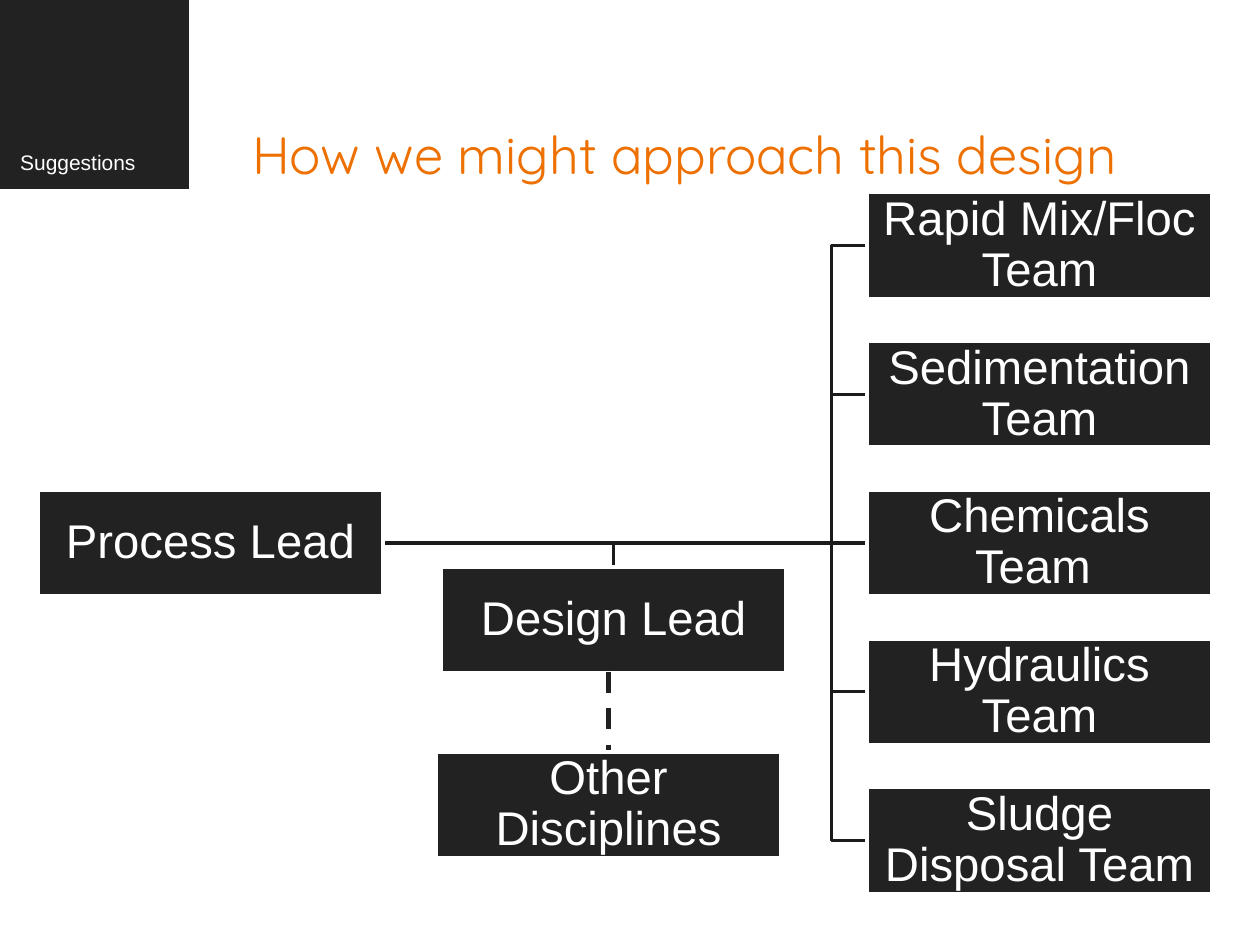
from lxml.etree import SubElement
from pptx import Presentation
from pptx.dml.color import RGBColor
from pptx.enum.dml import MSO_LINE
from pptx.enum.shapes import MSO_CONNECTOR, MSO_SHAPE
from pptx.enum.text import MSO_ANCHOR, MSO_AUTO_SIZE, PP_ALIGN
from pptx.oxml.ns import qn
from pptx.util import Pt

PX = 9144
COLORS = {
    "dark": "222222",
    "line": "1B1B1B",
    "dash": "212121",
    "white": "FFFFFF",
    "orange": "ED7000",
}
BOX_WIDTH, BOX_HEIGHT = 274, 84
TEAM_PITCH = 118
TRUNK_OFFSET = 28
TEAMS = [
    "Rapid Mix/Floc Team",
    "Sedimentation Team",
    "Chemicals Team ",
    "Hydraulics Team",
    "Sludge Disposal Team",
]


def rgb(name):
    """Return the named palette colour."""
    return RGBColor.from_string(COLORS[name])


def remove_bullet(paragraph):
    """Clear the inherited bullet and hanging indent of a paragraph."""
    properties = paragraph._p.get_or_add_pPr()
    properties.set("marL", "0")
    properties.set("indent", "0")
    SubElement(properties, qn("a:buNone"))


def write_text(shape, text, size, color="white", font="Arial", align=PP_ALIGN.LEFT,
               anchor=MSO_ANCHOR.MIDDLE, inset=0, spacing=1.0):
    """Write one formatted paragraph without a bullet into a shape."""
    frame = shape.text_frame
    frame.text = text
    frame.word_wrap = True
    frame.auto_size = MSO_AUTO_SIZE.NONE
    frame.vertical_anchor = anchor
    frame.margin_left = frame.margin_right = inset * PX
    frame.margin_top = frame.margin_bottom = inset * PX
    paragraph = frame.paragraphs[0]
    remove_bullet(paragraph)
    paragraph.alignment = align
    paragraph.line_spacing = spacing
    paragraph.space_before = Pt(0)
    run_font = paragraph.runs[0].font
    run_font.name = font
    run_font.size = Pt(size)
    run_font.color.rgb = rgb(color)


def place(shape, left, top, width, height):
    """Move and size a shape in px."""
    shape.left, shape.top = left * PX, top * PX
    shape.width, shape.height = width * PX, height * PX


def add_rectangle(slide, left, top, width, height):
    """Add a dark rectangle without outline."""
    shape = slide.shapes.add_shape(
        MSO_SHAPE.RECTANGLE, left * PX, top * PX, width * PX, height * PX)
    shape.shadow.inherit = False
    shape.fill.solid()
    shape.fill.fore_color.rgb = rgb("dark")
    shape.line.fill.background()
    return shape


def add_role(slide, text, left, top):
    """Add one labelled box of the organisation chart."""
    shape = add_rectangle(slide, left, top, BOX_WIDTH, BOX_HEIGHT)
    style_line(shape, "white", 2)
    write_text(shape, text, 27, align=PP_ALIGN.CENTER, inset=2, spacing=0.9)
    return shape


def style_line(shape, color, width):
    """Set the colour and width of a line."""
    shape.line.color.rgb = rgb(color)
    shape.line.width = Pt(width)


def send_behind(shape, front):
    """Move a shape directly behind another one."""
    front.element.addprevious(shape.element)


def add_elbow(slide, points):
    """Add an open bent line through the given points."""
    builder = slide.shapes.build_freeform(*points[0], scale=PX)
    builder.add_line_segments(points[1:], close=False)
    shape = builder.convert_to_shape()
    shape.shadow.inherit = False
    shape.fill.background()
    style_line(shape, "line", 2)


def add_link(slide, start, end, color, width, front):
    """Add a straight connector behind the given shape."""
    connector = slide.shapes.add_connector(
        MSO_CONNECTOR.STRAIGHT, *(value * PX for value in start + end))
    SubElement(connector.element.spPr, qn("a:effectLst"))
    style_line(connector, color, width)
    send_behind(connector, front)
    return connector


def build_header(slide, left, top):
    """Fill the corner square label and the title."""
    title, label = slide.shapes.title, slide.placeholders[1]
    send_behind(add_rectangle(slide, left, top, 150, 150), title)
    place(label, left + 16, top + 10, 121, 129)
    write_text(label, "Suggestions", 12, anchor=MSO_ANCHOR.BOTTOM)
    place(title, left + 200, top + 91, 784, 62)
    write_text(title, "How we might approach this design", 30,
               color="orange", font="Quicksand")


def build_chart(slide, left, top):
    """Draw the leads, the teams and the lines between them."""
    middle = len(TEAMS) // 2
    lead_top = top + middle * TEAM_PITCH
    team_left = left + 658
    design_left, design_top = left + 320, lead_top + 61
    other_left, other_top = left + 316, lead_top + 208
    start = (left + BOX_WIDTH, lead_top + BOX_HEIGHT // 2)
    trunk = team_left - TRUNK_OFFSET
    design_center = design_left + BOX_WIDTH // 2
    add_elbow(slide, [start, (design_center, start[1]), (design_center, design_top)])
    team_tops = [top + index * TEAM_PITCH for index in range(len(TEAMS))]
    for team_top in team_tops:
        center = team_top + BOX_HEIGHT // 2
        if center != start[1]:
            add_elbow(slide, [start, (trunk, start[1]), (trunk, center), (team_left, center)])

    process = add_role(slide, "Process Lead", left, lead_top)
    teams = [add_role(slide, text, team_left, team_top)
             for text, team_top in zip(TEAMS, team_tops)]
    add_role(slide, "Design Lead", design_left, design_top)
    other = add_role(slide, "Other Disciplines", other_left, other_top)

    straight = add_link(slide, start, (team_left, start[1]), "line", 2, process)
    straight.begin_connect(process, 3)
    straight.end_connect(teams[middle], 1)
    other_center = other_left + BOX_WIDTH // 2
    dashed = add_link(slide, (other_center, design_top + BOX_HEIGHT - 1),
                      (other_center, other_top), "dash", 3, other)
    dashed.line.dash_style = MSO_LINE.DASH
    dashed.end_connect(other, 0)


def main():
    """Build and save the slide."""
    presentation = Presentation()
    presentation.slide_width, presentation.slide_height = 1000 * PX, 750 * PX
    slide = presentation.slides.add_slide(presentation.slide_layouts[1])
    build_header(slide, 0, 0)
    build_chart(slide, 30, 153)
    presentation.save("out.pptx")


if __name__ == "__main__":
    main()
